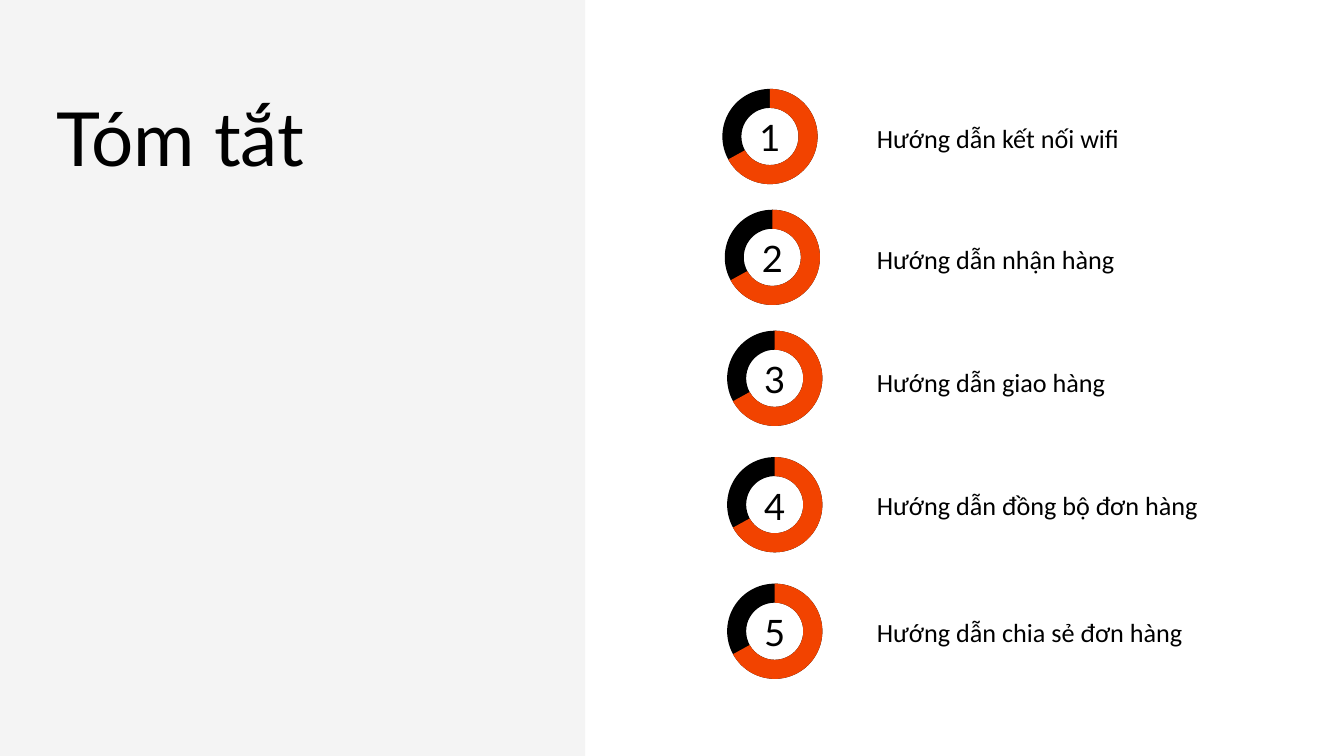
"""Build the summary slide: a grey title panel and five numbered ring items."""
from pptx import Presentation
from pptx.dml.color import RGBColor
from pptx.enum.shapes import MSO_SHAPE as Shape
from pptx.enum.text import MSO_ANCHOR as Anchor, MSO_AUTO_SIZE as AutoSize, PP_ALIGN as Align
from pptx.util import Pt

TITLE = "Tóm tắt"
ITEMS = [
    ("Hướng dẫn kết nối wifi", 550, 63.5, 85.7),
    ("Hướng dẫn nhận hàng", 551.7, 149.8, 172),
    ("Hướng dẫn giao hàng", 553.4, 236.2, 260),
    ("Hướng dẫn đồng bộ đơn hàng", 553.4, 326.5, 347.8),
    ("Hướng dẫn chia sẻ đơn hàng", 553.4, 416.9, 438.5),
]

BLACK = RGBColor(0x00, 0x00, 0x00)
ORANGE = RGBColor(0xF2, 0x43, 0x00)
GREY = RGBColor(0xF4, 0xF4, 0xF4)

WIDTH, HEIGHT = 960, 540
PANEL_WIDTH = 418
RING_SIZE = 68
RING_THICKNESS = 0.2
ARC_START, ARC_END = 270, 151.2
ANGLE_UNIT = 0.6
LABEL_LEFT, LABEL_WIDTH, LABEL_HEIGHT = 626.4, 293, 23
NUMBER_WIDTH, NUMBER_HEIGHT, NUMBER_DROP = 30, 32.4, 16.4

TITLE_STYLE = {"name": "Lato", "size": Pt(53.3)}
LABEL_STYLE = {"name": "Calibri", "size": Pt(18.7)}
NUMBER_STYLE = {"name": "Lato", "size": Pt(26)}
FRAME_FORMAT = {
    "margin_left": 0, "margin_top": 0, "margin_right": 0, "margin_bottom": 0,
    "word_wrap": True, "auto_size": AutoSize.NONE, "vertical_anchor": Anchor.TOP,
}


def set_all(target, values):
    """Set every attribute named in a dict."""
    for name, value in values.items():
        setattr(target, name, value)


def write(box, text, style, line_height, align=Align.LEFT):
    """Fill a box with one formatted paragraph."""
    set_all(box.text_frame, FRAME_FORMAT)
    para = box.text_frame.paragraphs[0]
    set_all(para, {"alignment": align, "line_spacing": Pt(line_height)})
    span = para.add_run()
    span.text = text
    set_all(span.font, style)
    span.font.color.rgb = BLACK


def add_filled(page, kind, area, colour, adjustments=()):
    """Add a preset shape with a plain fill and no line."""
    shape = page.shapes.add_shape(kind, *map(Pt, area))
    shape.shadow.inherit = False
    shape.fill.solid()
    shape.fill.fore_color.rgb = colour
    shape.line.fill.background()
    for index, value in enumerate(adjustments):
        shape.adjustments[index] = value
    return shape


def add_item(page, number, label, centre, ring_top, label_top):
    """Add one numbered ring and its label."""
    ring = (centre - RING_SIZE / 2, ring_top, RING_SIZE, RING_SIZE)
    arc = (ARC_START * ANGLE_UNIT, ARC_END * ANGLE_UNIT, RING_THICKNESS)
    add_filled(page, Shape.DONUT, ring, BLACK, [RING_THICKNESS])
    add_filled(page, Shape.BLOCK_ARC, ring, ORANGE, arc)
    number_area = (centre - NUMBER_WIDTH / 2, ring_top + NUMBER_DROP, NUMBER_WIDTH, NUMBER_HEIGHT)
    number_box = page.shapes.add_textbox(*map(Pt, number_area))
    write(number_box, str(number), NUMBER_STYLE, 33.8, Align.CENTER)
    label_area = (LABEL_LEFT, label_top, LABEL_WIDTH, LABEL_HEIGHT)
    write(page.shapes.add_textbox(*map(Pt, label_area)), label, LABEL_STYLE, 24.3)


def main():
    """Create and save the deck."""
    deck = Presentation()
    set_all(deck, {"slide_width": Pt(WIDTH), "slide_height": Pt(HEIGHT)})
    page = deck.slides.add_slide(deck.slide_layouts[5])
    panel = add_filled(page, Shape.RECTANGLE, (0, 0, PANEL_WIDTH, HEIGHT), GREY)
    title = page.shapes.title
    panel.element.addnext(title.element)
    set_all(title, {"left": Pt(40.3), "top": Pt(65.5), "width": Pt(268.6), "height": Pt(64.8)})
    write(title, TITLE, TITLE_STYLE, 64)
    for number, item in enumerate(ITEMS, 1):
        add_item(page, number, *item)
    deck.save("out.pptx")


if __name__ == "__main__":
    main()
